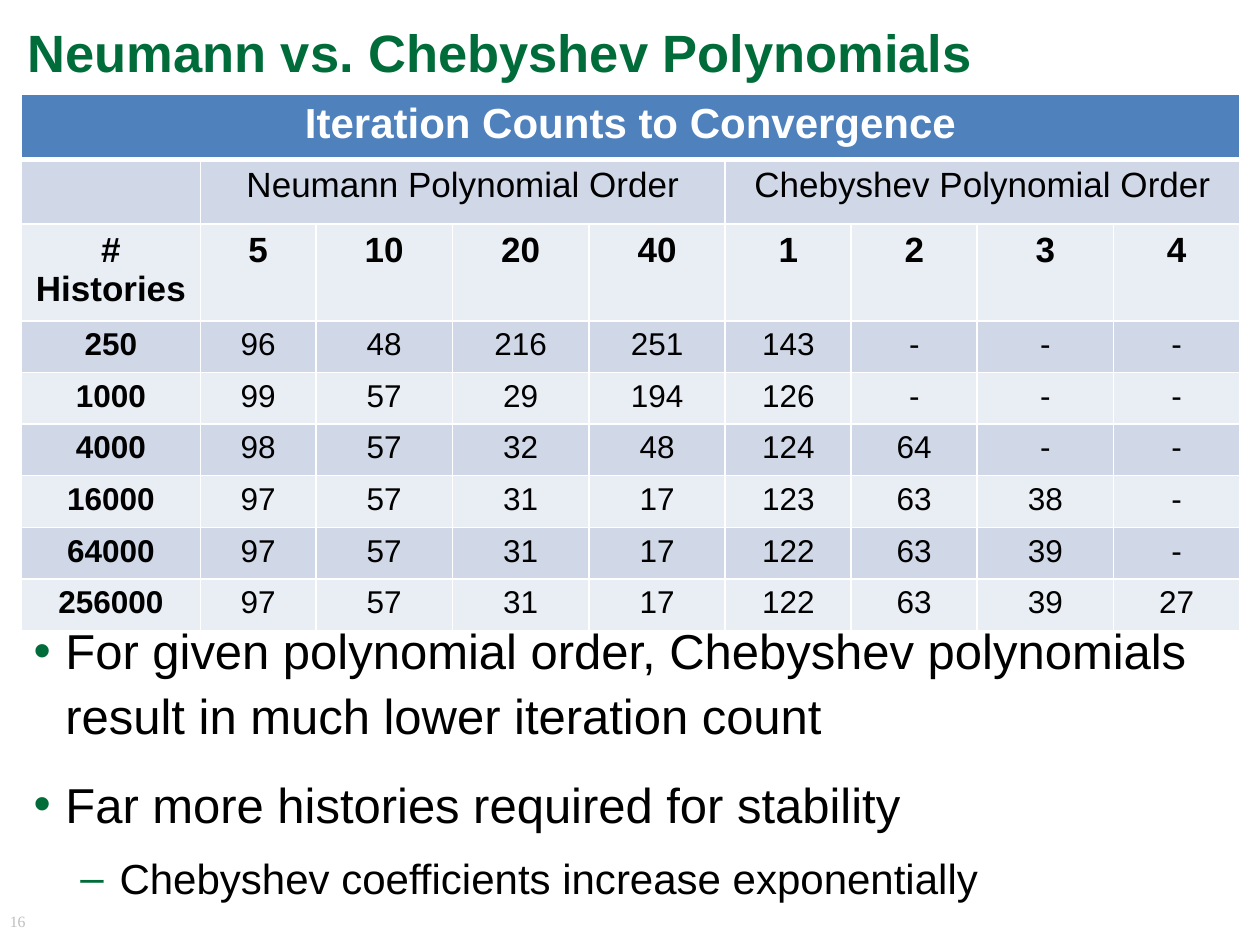
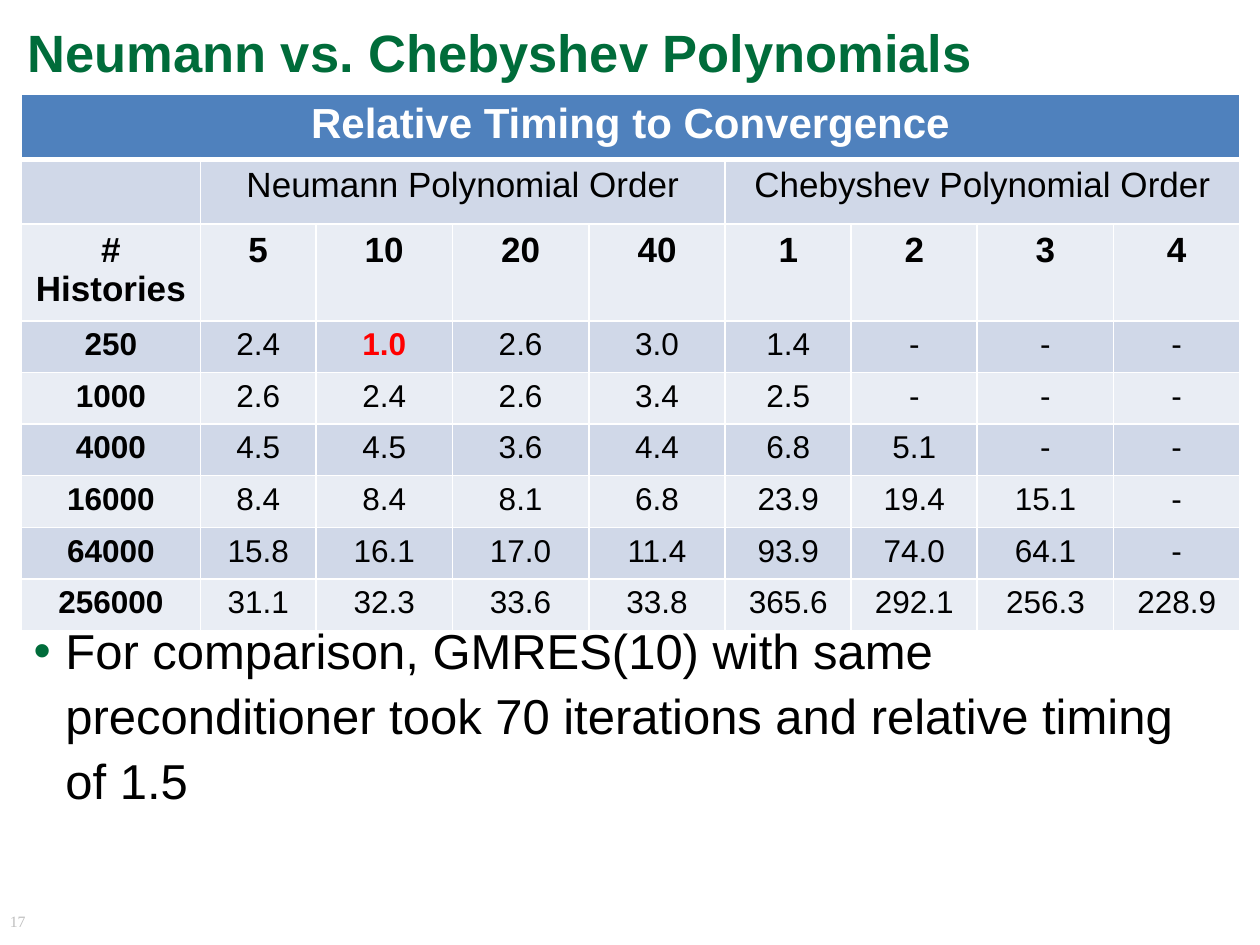
from lxml import etree
from pptx import Presentation
from pptx import util as u
from pptx.dml import color
from pptx.enum import text as t
from pptx.oxml import ns

GREEN, BLACK, WHITE, RED, GREY = "006C3A", "000000", "FFFFFF", "FF0000", "BFBFBF"
HEADER_BLUE, BANDS = "4F81BD", ("D0D8E8", "E9EDF4")
SANS, SERIF = "Arial", "Times New Roman"

TITLE_BOX = (0.3, 0.48, 24.66, 1.37)
TABLE_BOX = (0.43, 1.9, 24.56, 9.98)
NUMBER_BOX = (0.2, 18.42, 0.64, 0.64)
COLUMN_WIDTHS = (3.61, 2.33, 2.75, 2.75, 2.75, 2.54, 2.54, 2.75, 2.54)
HEADING_HEIGHTS = (1.31, 1.31, 1.12)
DATA_HEIGHT = 1.04
ORDER_GROUPS = ((1, 4, "Neumann Polynomial Order"), (5, 8, "Chebyshev Polynomial Order"))
ORDERS = ("# Histories", "5", "10", "20", "40", "1", "2", "3", "4")
BULLETS = (
    dict(mark="•", size=28, left=0.64, hang=0.64, before=14),
    dict(mark="–", size=24, left=1.73, hang=0.79, before=8),
)

ITERATIONS = """
250 96 48 216 251 143 - - -
1000 99 57 29 194 126 - - -
4000 98 57 32 48 124 64 - -
16000 97 57 31 17 123 63 38 -
64000 97 57 31 17 122 63 39 -
256000 97 57 31 17 122 63 39 27
"""
TIMINGS = """
250 2.4 1.0 2.6 3.0 1.4 - - -
1000 2.6 2.4 2.6 3.4 2.5 - - -
4000 4.5 4.5 3.6 4.4 6.8 5.1 - -
16000 8.4 8.4 8.1 6.8 23.9 19.4 15.1 -
64000 15.8 16.1 17.0 11.4 93.9 74.0 64.1 -
256000 31.1 32.3 33.6 33.8 365.6 292.1 256.3 228.9
"""


def rgb(code):
    return color.RGBColor.from_string(code)


def lengths(box):
    return [u.Cm(value) for value in box]


def write(paragraph, words, size=18, font=SANS, ink=BLACK, bold=False,
          align=t.PP_ALIGN.LEFT, spacing=None, before=None):
    run = paragraph.add_run()
    run.text = words
    run.font.size = u.Pt(size)
    run.font.name = font
    run.font.bold = bold
    run.font.color.rgb = rgb(ink)
    paragraph.alignment = align
    if spacing:
        paragraph.line_spacing = spacing
    if before is not None:
        paragraph.space_before = u.Pt(before)


def add_bullet(paragraph, mark, left, hang):
    props = paragraph._p.get_or_add_pPr()
    props.set("marL", str(u.Cm(left)))
    props.set("indent", str(-u.Cm(hang)))
    tint = etree.SubElement(props, ns.qn("a:buClr"))
    etree.SubElement(tint, ns.qn("a:srgbClr"), val=GREEN)
    etree.SubElement(props, ns.qn("a:buFont"), typeface=SANS)
    etree.SubElement(props, ns.qn("a:buChar"), char=mark)


def set_borders(cell, top=1, bottom=1):
    props = cell._tc.get_or_add_tcPr()
    edges = (("a:lnL", 1), ("a:lnR", 1), ("a:lnT", top), ("a:lnB", bottom))
    for position, (edge, points) in enumerate(edges):
        line = etree.Element(ns.qn(edge), w=str(u.Pt(points)))
        fill = etree.SubElement(line, ns.qn("a:solidFill"))
        etree.SubElement(fill, ns.qn("a:srgbClr"), val=WHITE)
        props.insert(position, line)


def place_title(slide, box, words):
    title = slide.shapes.title
    title.left, title.top, title.width, title.height = lengths(box)
    frame = title.text_frame
    frame.auto_size = t.MSO_AUTO_SIZE.NONE
    frame.vertical_anchor = t.MSO_ANCHOR.TOP
    write(frame.paragraphs[0], words, size=30, ink=GREEN, bold=True, spacing=0.85)


def place_number(slide, box, number):
    frame = slide.shapes.add_textbox(*lengths(box)).text_frame
    frame.word_wrap = True
    frame.margin_left = frame.margin_right = frame.margin_top = frame.margin_bottom = 0
    write(frame.paragraphs[0], str(number), size=9, font=SERIF, ink=GREY, spacing=0.9)


def place_findings(slide, box, findings):
    frame = slide.shapes.add_textbox(*lengths(box)).text_frame
    frame.word_wrap = True
    for index, (level, words) in enumerate(findings):
        paragraph = frame.add_paragraph() if index else frame.paragraphs[0]
        paragraph.level = level
        style = BULLETS[level]
        write(paragraph, words, size=style["size"], spacing=1.1, before=style["before"])
        add_bullet(paragraph, style["mark"], style["left"], style["hang"])


def place_results(slide, box, heading, results, best=None):
    rows = [line.split() for line in results.strip().splitlines()]
    heights = HEADING_HEIGHTS + (DATA_HEIGHT,) * len(rows)
    table = slide.shapes.add_table(len(heights), len(COLUMN_WIDTHS), *lengths(box)).table
    table.horz_banding = False
    for column, width in zip(table.columns, COLUMN_WIDTHS):
        column.width = u.Cm(width)
    for r, height in enumerate(heights):
        table.rows[r].height = u.Cm(height)
        for c in range(len(COLUMN_WIDTHS)):
            cell = table.cell(r, c)
            cell.fill.solid()
            cell.fill.fore_color.rgb = rgb(BANDS[(r - 1) % 2] if r else HEADER_BLUE)
            set_borders(cell, top=3 if r == 1 else 1, bottom=1 if r else 3)

    def fill_cell(r, c, words, **style):
        paragraph = table.cell(r, c).text_frame.paragraphs[0]
        write(paragraph, words, align=t.PP_ALIGN.CENTER, **style)

    table.cell(0, 0).merge(table.cell(0, len(COLUMN_WIDTHS) - 1))
    fill_cell(0, 0, heading, size=24, ink=WHITE, bold=True)
    for first, last, group in ORDER_GROUPS:
        table.cell(1, first).merge(table.cell(1, last))
        fill_cell(1, first, group, size=20)
    for c, order in enumerate(ORDERS):
        fill_cell(2, c, order, size=20, bold=True)
    for r, row in enumerate(rows):
        for c, value in enumerate(row):
            is_best = (r, c) == best
            fill_cell(r + len(HEADING_HEIGHTS), c, value, bold=c == 0 or is_best,
                      ink=RED if is_best else BLACK)


def add_comparison(deck, number, heading, results, findings, findings_box, best=None):
    slide = deck.slides.add_slide(deck.slide_layouts[5])
    place_number(slide, NUMBER_BOX, number)
    place_title(slide, TITLE_BOX, "Neumann vs. Chebyshev Polynomials")
    place_findings(slide, findings_box, findings)
    place_results(slide, TABLE_BOX, heading, results, best)


def main():
    deck = Presentation()
    deck.slide_width, deck.slide_height = u.Cm(25.4), u.Cm(19.05)
    add_comparison(deck, 16, "Iteration Counts to Convergence", ITERATIONS, (
        (0, "For given polynomial order, Chebyshev polynomials result in much lower iteration count"),
        (0, "Far more histories required for stability"),
        (1, "Chebyshev coefficients increase exponentially"),
    ), (0.43, 12.27, 24.66, 6.35))
    add_comparison(deck, 17, "Relative Timing to Convergence", TIMINGS, (
        (0, "For comparison, GMRES(10) with same preconditioner took 70 iterations "
            "and relative timing of 1.5"),
    ), (0.43, 12.27, 23.93, 5.99), best=(0, 2))
    deck.save("out.pptx")


if __name__ == "__main__":
    main()
